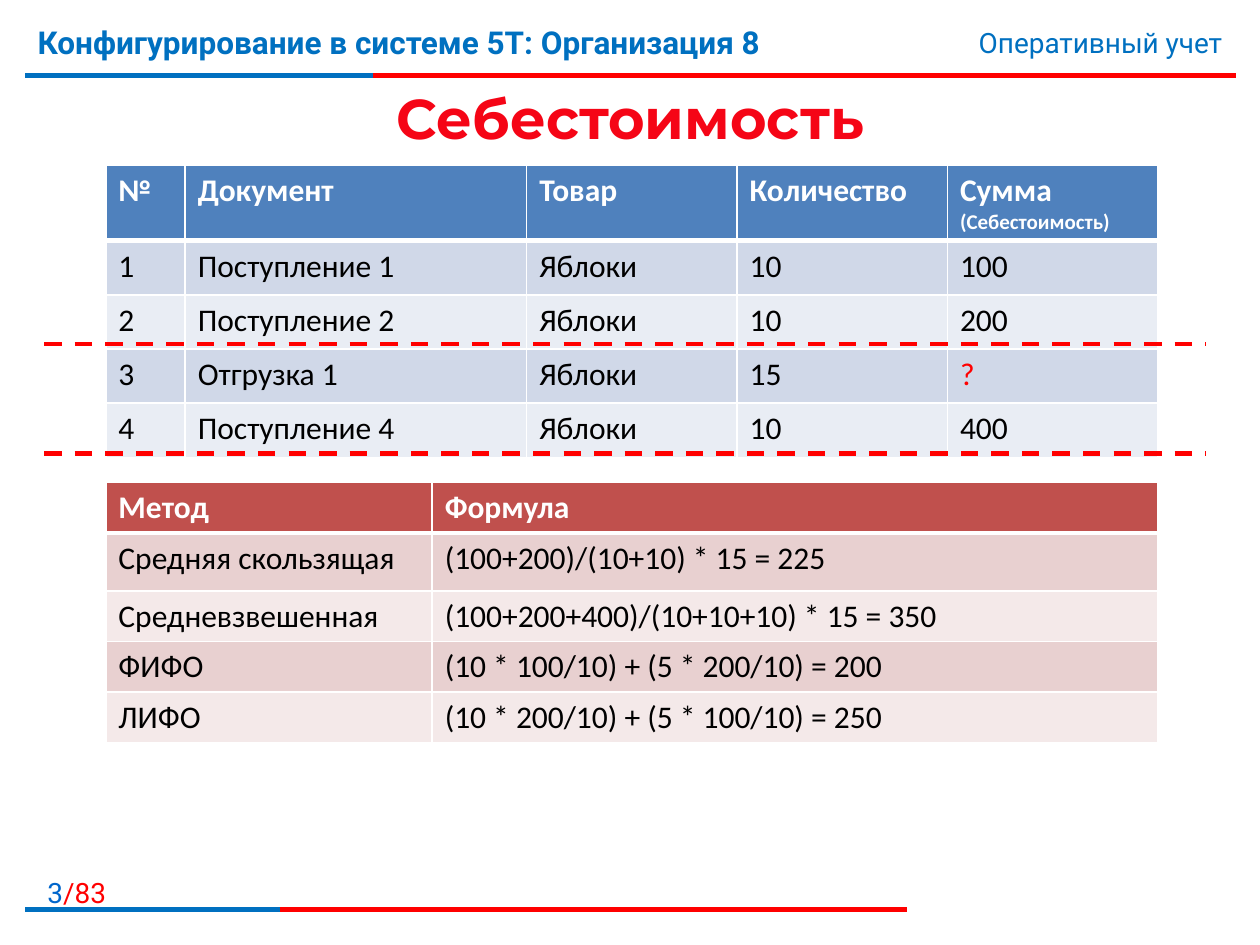
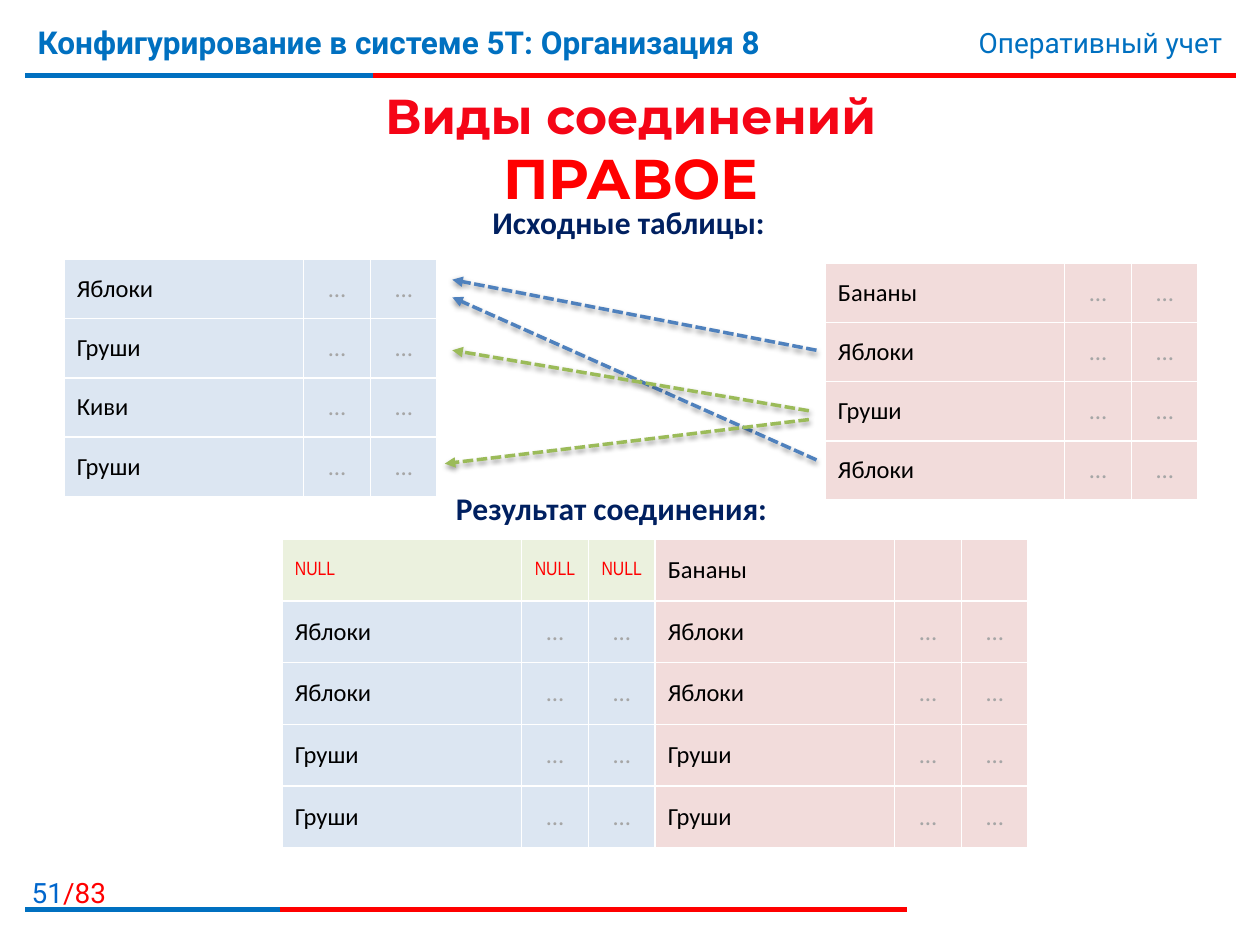
from dataclasses import dataclass
from typing import Optional

from lxml import etree
from pptx import Presentation
from pptx.dml.color import RGBColor
from pptx.enum.dml import MSO_LINE
from pptx.enum.shapes import MSO_CONNECTOR
from pptx.enum.text import MSO_ANCHOR as Anchor, MSO_AUTO_SIZE, PP_ALIGN as Align
from pptx.oxml import parse_xml
from pptx.oxml.ns import nsdecls, qn
from pptx.shapes.connector import Connector
from pptx.slide import Slide
from pptx.text.text import TextFrame
from pptx.util import Pt

PX = 9144  # EMU in one px, 100 px to the inch

WHITE = RGBColor(0xFF, 0xFF, 0xFF)
BLACK = RGBColor(0x00, 0x00, 0x00)
RED = RGBColor(0xFF, 0x00, 0x00)
TITLE_RED = RGBColor(0xF5, 0x05, 0x16)
BAND_BLUE = RGBColor(0x00, 0x70, 0xC0)
PAGE_BLUE = RGBColor(0x00, 0x66, 0xCC)
NAVY = RGBColor(0x00, 0x20, 0x60)
GREY = RGBColor(0xA6, 0xA6, 0xA6)
BLUE = RGBColor(0x4F, 0x81, 0xBD)
GREEN = RGBColor(0x9B, 0xBB, 0x59)
BRICK = RGBColor(0xC0, 0x50, 0x4D)
BLUE_BANDS = (RGBColor(0xD0, 0xD8, 0xE8), RGBColor(0xE9, 0xED, 0xF4))
BRICK_BANDS = (RGBColor(0xE8, 0xD0, 0xD0), RGBColor(0xF4, 0xE9, 0xE9))
LEFT_FILL = RGBColor(0xDC, 0xE6, 0xF2)
RIGHT_FILL = RGBColor(0xF2, 0xDC, 0xDB)
NULL_FILL = RGBColor(0xEB, 0xF1, 0xDE)

HEADING_FONT = "Montserrat"
BAND_FONT = "Roboto"
BODY_FONT = "Calibri"
NULL_FONT = "Arial Narrow"

COURSE = "Конфигурирование в системе 5Т: Организация 8"
SUBJECT = "Оперативный учет"
PAGE_TOTAL = 83
ITEM_COLUMNS = (190, 53, 53)


@dataclass(frozen=True)
class Cell:
    text: str
    fill: RGBColor
    color: RGBColor = BLACK
    size: int = 18
    font: str = BODY_FONT
    bold: bool = False
    align: Align = Align.LEFT
    note: str = ""


@dataclass(frozen=True)
class Grid:
    left: int
    top: int
    columns: tuple[int, ...]
    heights: tuple[int, ...]
    rows: list[list[Cell]]
    anchor: Anchor = Anchor.TOP
    has_header: bool = False


@dataclass(frozen=True)
class Stroke:
    start: tuple[int, int]
    end: tuple[int, int]
    color: RGBColor
    width: float
    dash: Optional[MSO_LINE] = None
    arrow: bool = False


def write(frame: TextFrame, text: str, *, size: int, color: RGBColor,
          font: str = BODY_FONT, bold: bool = False,
          align: Align = Align.LEFT) -> None:
    """Add a formatted run to the first paragraph."""
    paragraph = frame.paragraphs[0]
    paragraph.alignment = align
    run = paragraph.add_run()
    run.text = text
    run.font.size = Pt(size)
    run.font.name = font
    run.font.bold = bold
    run.font.color.rgb = color


def add_frame(slide: Slide, left: int, top: int, width: int, height: int,
              wrap: bool = True) -> TextFrame:
    box = slide.shapes.add_textbox(left * PX, top * PX, width * PX, height * PX)
    box.text_frame.word_wrap = wrap
    return box.text_frame


def add_stroke(slide: Slide, stroke: Stroke) -> Connector:
    ends = [value * PX for value in (*stroke.start, *stroke.end)]
    connector = slide.shapes.add_connector(MSO_CONNECTOR.STRAIGHT, *ends)
    line = connector.line
    line.color.rgb = stroke.color
    line.width = Pt(stroke.width)
    if stroke.dash is not None:
        line.dash_style = stroke.dash
    properties = connector._element.spPr
    effects = etree.SubElement(properties, qn("a:effectLst"))
    if stroke.arrow:
        etree.SubElement(properties.find(qn("a:ln")), qn("a:tailEnd"), type="triangle")
        effects.append(parse_xml(
            f'<a:outerShdw {nsdecls("a")} blurRad="{Pt(3.1)}" dist="{Pt(1.6)}" '
            'dir="5400000" rotWithShape="0"><a:srgbClr val="000000">'
            '<a:alpha val="38000"/></a:srgbClr></a:outerShdw>'))
    return connector


def add_borders(cell, top: int, bottom: int) -> None:
    """Draw white cell borders, with the top and bottom widths in points."""
    properties = cell._tc.get_or_add_tcPr()
    for side, width in (("L", 1), ("R", 1), ("T", top), ("B", bottom)):
        properties.append(parse_xml(
            f'<a:ln{side} {nsdecls("a")} w="{Pt(width)}"><a:solidFill>'
            f'<a:srgbClr val="{WHITE}"/></a:solidFill></a:ln{side}>'))


def add_grid(slide: Slide, grid: Grid) -> None:
    table = slide.shapes.add_table(
        len(grid.heights), len(grid.columns), grid.left * PX, grid.top * PX,
        sum(grid.columns) * PX, sum(grid.heights) * PX).table
    table.first_row = table.horz_banding = False
    for column, width in zip(table.columns, grid.columns):
        column.width = width * PX
    for index, (row, height, contents) in enumerate(
            zip(table.rows, grid.heights, grid.rows)):
        row.height = height * PX
        for cell, content in zip(row.cells, contents):
            add_borders(cell,
                        top=3 if grid.has_header and index == 1 else 1,
                        bottom=3 if grid.has_header and index == 0 else 1)
            cell.fill.solid()
            cell.fill.fore_color.rgb = content.fill
            cell.vertical_anchor = grid.anchor
            style = dict(color=content.color, font=content.font,
                         bold=content.bold, align=content.align)
            if content.text:
                write(cell.text_frame, content.text, size=content.size, **style)
            if content.note:
                write(cell.text_frame, content.note, size=12, **style)


def add_base(deck: Presentation, page: int) -> Slide:
    """Add a title-only slide with the course header and the page footer."""
    slide = deck.slides.add_slide(deck.slide_layouts[5])
    for y, red_end, blue_end in ((60, 981, 296), (722, 720, 222)):
        for end, color in ((red_end, RED), (blue_end, BAND_BLUE)):
            add_stroke(slide, Stroke((20, y), (end, y), color, 3))
    number = add_frame(slide, -10, 690, 104, 32)
    for text, color in ((str(page), PAGE_BLUE), (f"/{PAGE_TOTAL}", RED)):
        write(number, text, size=16, font=BAND_FONT, color=color, align=Align.RIGHT)
    write(add_frame(slide, 20, 13, 740, 62), COURSE,
          size=18, font=BAND_FONT, color=BAND_BLUE, bold=True)
    write(add_frame(slide, 594, 15, 386, 37), SUBJECT,
          size=16, font=BAND_FONT, color=BAND_BLUE, align=Align.RIGHT)
    return slide


def set_title(slide: Slide, top: int, height: int,
              lines: list[tuple[str, int, RGBColor]]) -> None:
    title = slide.shapes.title
    title.left, title.top = 20 * PX, top * PX
    title.width, title.height = 961 * PX, height * PX
    frame = title.text_frame
    frame.auto_size = MSO_AUTO_SIZE.NONE
    frame.word_wrap = True
    frame.vertical_anchor = Anchor.MIDDLE
    for index, (text, size, color) in enumerate(lines):
        if index:
            frame.paragraphs[0].add_line_break()
        write(frame, text, size=size, font=HEADING_FONT, color=color,
              bold=True, align=Align.CENTER)


def header_cells(labels: list[str], fill: RGBColor) -> list[Cell]:
    return [Cell(label, fill, WHITE, bold=True) for label in labels]


def banded_cells(rows: list[list[str]], bands: tuple[RGBColor, ...]) -> list[list[Cell]]:
    return [[Cell(text, bands[index % 2], RED if text == "?" else BLACK) for text in row]
            for index, row in enumerate(rows)]


def item_cells(item: str, fill: RGBColor, rest: str = "…") -> list[Cell]:
    """One record: its name and two further fields."""
    return [Cell(item, fill, size=14)] + [
        Cell(rest, fill, GREY, size=14, align=Align.CENTER)] * 2


def null_cells() -> list[Cell]:
    return [Cell("NULL", NULL_FILL, RED, 11, NULL_FONT, align=align)
            for align in (Align.LEFT, Align.CENTER, Align.CENTER)]


def build_cost(deck: Presentation) -> None:
    slide = add_base(deck, 3)
    set_title(slide, 63, 60, [("Себестоимость", 32, TITLE_RED)])

    documents_header = header_cells(["№", "Документ", "Товар", "Количество"], BLUE)
    documents_header.append(
        Cell("Сумма ", BLUE, WHITE, bold=True, note="(Себестоимость)"))
    documents = banded_cells([
        ["1", "Поступление 1", "Яблоки", "10", "100"],
        ["2", "Поступление 2", "Яблоки", "10", "200"],
        ["3", "Отгрузка 1", "Яблоки", "15", "?"],
        ["4", "Поступление 4", "Яблоки", "10", "400"],
    ], BLUE_BANDS)
    add_grid(slide, Grid(84, 131, (63, 271, 167, 167, 167), (59, 43, 43, 43, 43),
                         [documents_header, *documents], has_header=True))

    methods = banded_cells([
        ["Средняя скользящая", "(100+200)/(10+10) * 15 = 225"],
        ["Средневзвешенная", "(100+200+400)/(10+10+10) * 15 = 350"],
        ["ФИФО", "(10 * 100/10) + (5 * 200/10) = 200"],
        ["ЛИФО", "(10 * 200/10) + (5 * 100/10) = 250"],
    ], BRICK_BANDS)
    add_grid(slide, Grid(84, 383, (259, 576), (40, 46, 40, 40, 40),
                         [header_cells(["Метод", "Формула"], BRICK), *methods],
                         has_header=True))

    for cutoff in (273, 360):
        add_stroke(slide, Stroke((35, cutoff), (957, cutoff), RED, 2.5, MSO_LINE.DASH))


def build_right_join(deck: Presentation) -> None:
    slide = add_base(deck, 51)
    set_title(slide, 60, 115, [("Виды соединений", 28, TITLE_RED), ("ПРАВОЕ", 32, RED)])

    for left, top, fill, items in (
            (51, 206, LEFT_FILL, ("Яблоки", "Груши", "Киви", "Груши")),
            (655, 209, RIGHT_FILL, ("Бананы", "Яблоки", "Груши", "Яблоки"))):
        add_grid(slide, Grid(left, top, ITEM_COLUMNS, (47,) * len(items),
                             [item_cells(item, fill) for item in items], Anchor.MIDDLE))

    joined = [null_cells() + item_cells("Бананы", RIGHT_FILL, rest="")]
    joined += [item_cells(item, LEFT_FILL) + item_cells(item, RIGHT_FILL)
               for item in ("Яблоки", "Яблоки", "Груши", "Груши")]
    add_grid(slide, Grid(224, 428, ITEM_COLUMNS * 2, (49,) * len(joined),
                         joined, Anchor.MIDDLE))

    for left, top, width, caption in ((381, 156, 238, "Исходные таблицы:"),
                                      (352, 383, 269, "Результат соединения:")):
        write(add_frame(slide, left, top, width, 40, wrap=False), caption,
              size=18, color=NAVY, bold=True)

    for start, end, color in (((648, 278), (359, 222), BLUE),
                              ((648, 365), (359, 236), BLUE),
                              ((642, 326), (359, 278), GREEN),
                              ((642, 333), (353, 368), GREEN)):
        add_stroke(slide, Stroke(start, end, color, 2, MSO_LINE.SQUARE_DOT, arrow=True))


def main() -> None:
    deck = Presentation()
    deck.slide_width, deck.slide_height = 1000 * PX, 750 * PX
    build_cost(deck)
    build_right_join(deck)
    deck.save("out.pptx")


if __name__ == "__main__":
    main()
